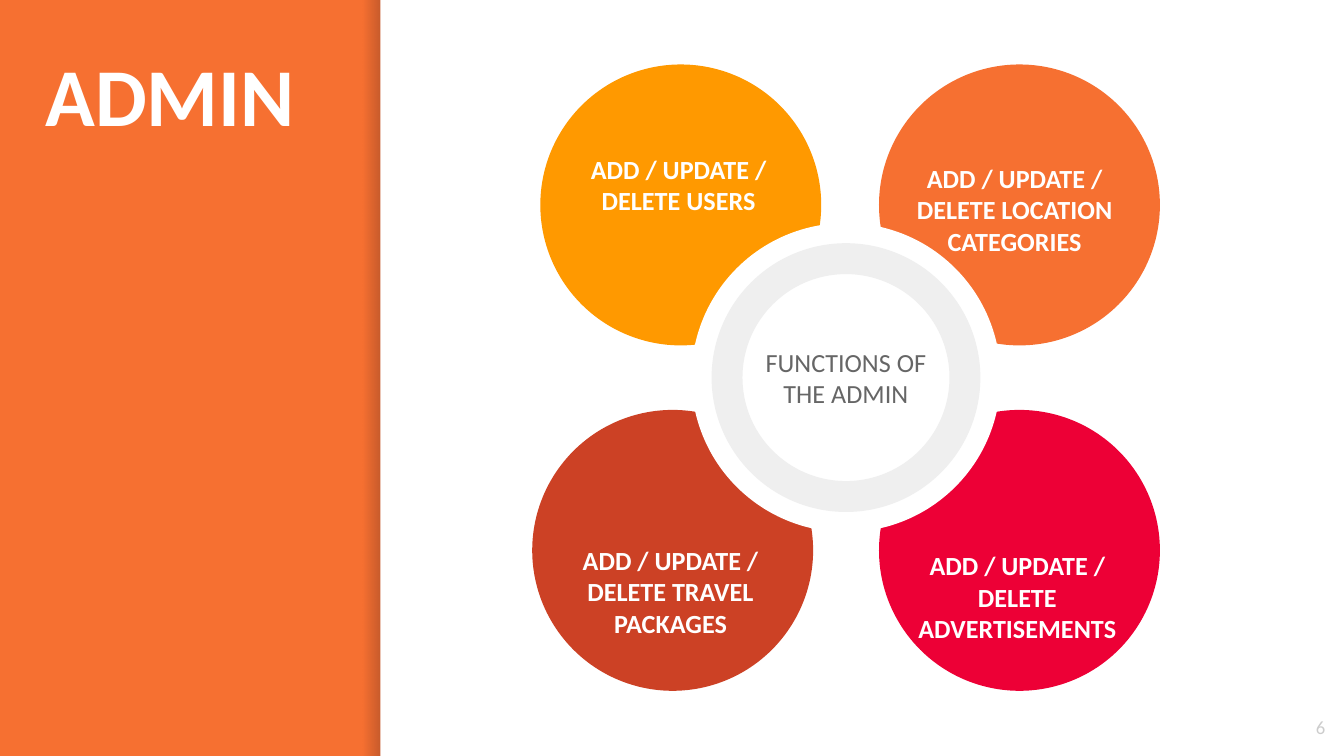
from dataclasses import dataclass

from lxml import etree
from pptx import Presentation
from pptx import util as u
from pptx.dml.color import RGBColor
from pptx.enum import shapes, text
from pptx.oxml.ns import qn


@dataclass(frozen=True)
class Theme:
    font: str = "Calibri"
    orange: str = "F67031"
    amber: str = "FF9900"
    rust: str = "CC4125"
    red: str = "ED0036"
    white: str = "FFFFFF"
    ring: str = "EFEFEF"
    grey: str = "666666"
    pale: str = "CCCCCC"
    shade: str = "000014"
    title: int = 44
    body: int = 14
    small: int = 10


T = Theme()
W = 10
H = W * 9 / 16
SIDE = 2.83  # width of the coloured side panel
SHAPE = shapes.MSO_SHAPE
ALIGN, ANCHOR = text.PP_ALIGN, text.MSO_ANCHOR


def inches(*box):
    return [u.Inches(v) for v in box]


def add_shape(s, kind, box, color):
    sp = s.shapes.add_shape(kind, *inches(*box))
    sp.shadow.inherit = False
    sp.line.fill.background()
    sp.fill.solid()
    sp.fill.fore_color.rgb = RGBColor.from_string(color)
    return sp


def write(sp, words, size, color, bold=False, align=ALIGN.CENTER,
          anchor=ANCHOR.TOP, pad=0.1):
    tf = sp.text_frame
    tf.word_wrap = True
    tf.vertical_anchor = anchor
    tf.margin_left = tf.margin_right = u.Inches(0.1)
    tf.margin_top = tf.margin_bottom = u.Inches(pad)
    p = tf.paragraphs[0]
    p.alignment = align
    r = p.add_run()
    r.text = words
    r.font.name, r.font.size, r.font.bold = T.font, u.Pt(size), bold
    r.font.color.rgb = RGBColor.from_string(color)
    return tf


def add_text(s, box, *args, **style):
    return write(s.shapes.add_textbox(*inches(*box)), *args, **style)


def backdrop(s, x, y, w, h):
    """Orange ground, white content area and the soft shade along its edge."""
    s.background.fill.solid()
    s.background.fill.fore_color.rgb = RGBColor.from_string(T.orange)

    shade = add_shape(s, SHAPE.RECTANGLE, (x - 0.13, y, 0.13, h), T.shade)
    shade.fill.gradient()
    shade.fill.gradient_angle = 0
    for stop in shade.fill.gradient_stops:
        stop.color.rgb = RGBColor.from_string(T.shade)
    # Opacity rises towards the white area
    colors = shade.element.spPr.iter(qn("a:srgbClr"))
    for clr, opacity in zip(colors, (0, 20)):
        etree.SubElement(clr, qn("a:alpha")).set("val", str(opacity * 1000))

    add_shape(s, SHAPE.RECTANGLE, (x, y, w, h), T.white)


def wheel(s, x, y, w, h):
    """Four discs in the corners of the box around a ringed hub."""
    disc, hub, ring = 2.09, 2.3, 2
    # column, row, colour, disc shift, label shift in x and y, label
    petals = [
        (0, 0, T.amber, 0.06, 0, 0.61, "ADD / UPDATE / DELETE USERS"),
        (1, 0, T.orange, 0, -0.02, 0.68,
         "ADD / UPDATE / DELETE LOCATION CATEGORIES"),
        (0, 1, T.rust, 0, 0, 0.95, "ADD / UPDATE / DELETE TRAVEL PACKAGES"),
        (1, 1, T.red, 0, 0, 0.99, "ADD / UPDATE / DELETE ADVERTISEMENTS"),
    ]

    def corner(col, row, shift):
        return x + col * (w - disc) + shift, y + row * (h - disc)

    def centred(size):
        return x + (w - size) / 2, y + (h - size) / 2, size, size

    # Discs
    for col, row, color, shift, *_ in petals:
        add_shape(s, SHAPE.OVAL, (*corner(col, row, shift), disc, disc), color)

    # Hub and ring
    core = add_shape(s, SHAPE.OVAL, centred(hub), T.white)
    write(core, "FUNCTIONS OF THE ADMIN", T.body, T.grey, anchor=ANCHOR.MIDDLE)
    donut = add_shape(s, SHAPE.DONUT, centred(ring), T.ring)
    donut.adjustments[0] = 0.115

    # Labels
    for col, row, _, shift, dx, dy, words in petals:
        left, top = corner(col, row, shift)
        tf = add_text(s, (left + dx, top + dy, 2.06, 0.57), words, T.body,
                      T.white, bold=True, pad=0.05)
        tf.auto_size = text.MSO_AUTO_SIZE.SHAPE_TO_FIT_TEXT


def main():
    prs = Presentation()
    prs.slide_width, prs.slide_height = inches(W, H)
    s = prs.slides.add_slide(prs.slide_layouts[6])
    backdrop(s, SIDE, 0, W - SIDE, H)
    # Title and page number
    add_text(s, (0.24, 0.23, 2.24, 4.35), "ADMIN", T.title, T.white,
             bold=True, align=ALIGN.LEFT)
    add_text(s, (W - 0.64, H - 0.43, 0.6, 0.43), "6", T.small, T.pale,
             align=ALIGN.RIGHT, anchor=ANCHOR.MIDDLE)
    wheel(s, 3.96, 0.48, 4.67, 4.66)
    prs.save("out.pptx")


if __name__ == "__main__":
    main()
